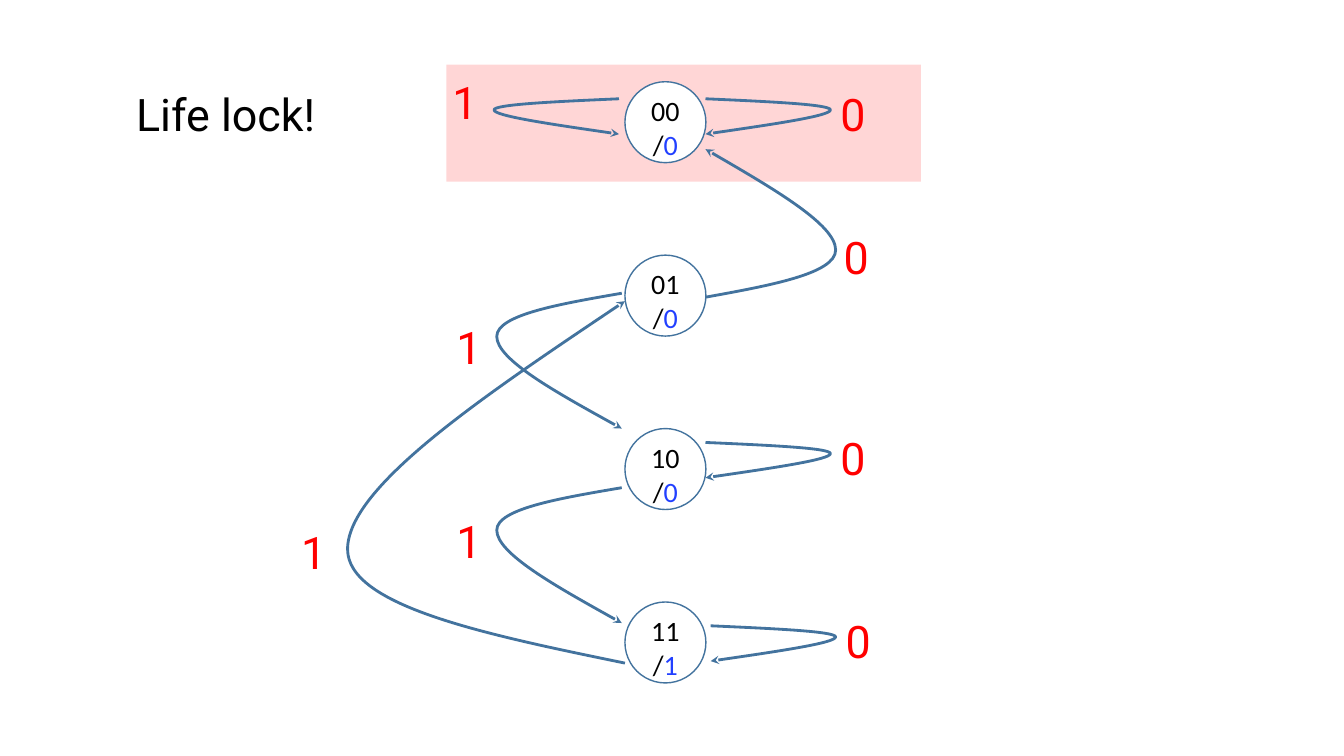
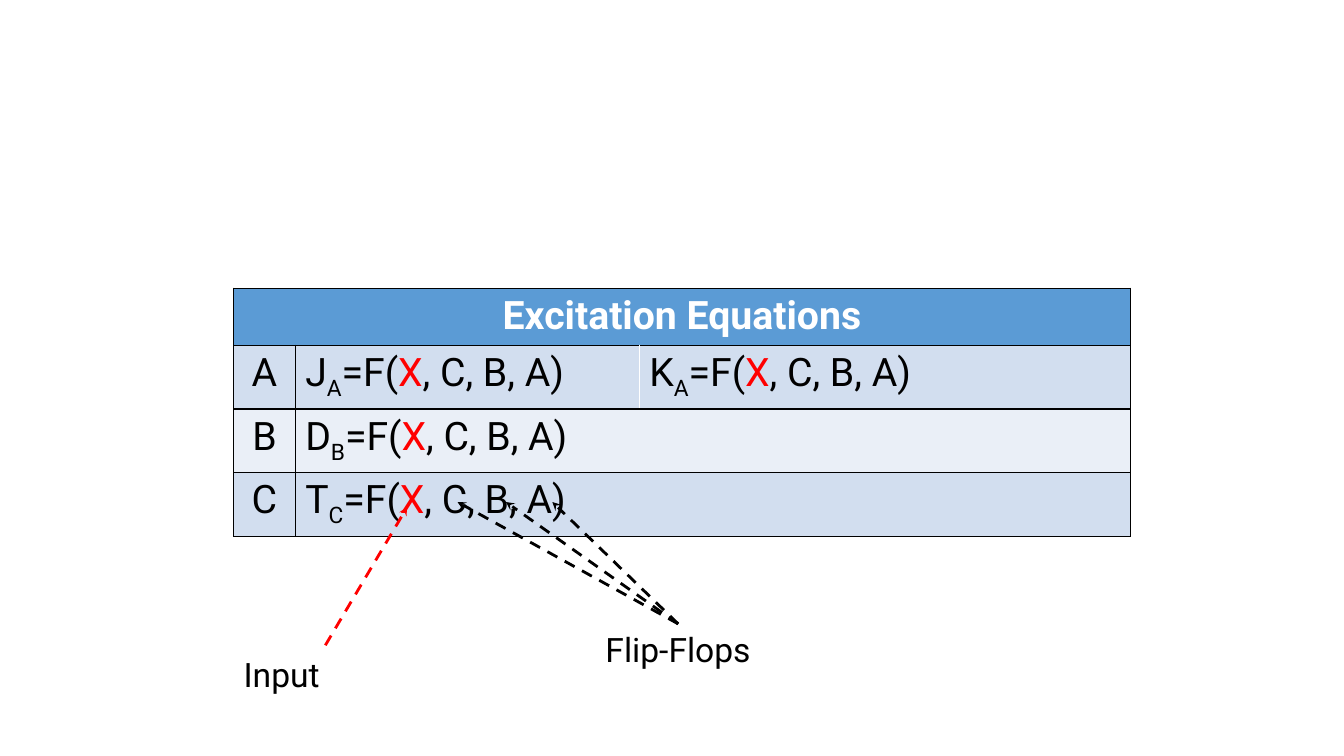
from lxml import etree
from pptx import Presentation
from pptx.dml.color import RGBColor
from pptx.enum.dml import MSO_LINE
from pptx.enum.shapes import MSO_CONNECTOR, MSO_SHAPE
from pptx.enum.text import MSO_ANCHOR, MSO_AUTO_SIZE, PP_ALIGN
from pptx.oxml.ns import qn
from pptx.util import Cm, Pt

RECT, OVAL = MSO_SHAPE.RECTANGLE, MSO_SHAPE.OVAL
STRAIGHT, DASH = MSO_CONNECTOR.STRAIGHT, MSO_LINE.DASH
TOP, MIDDLE = MSO_ANCHOR.TOP, MSO_ANCHOR.MIDDLE
LEFT, CENTER = PP_ALIGN.LEFT, PP_ALIGN.CENTER
FIT = MSO_AUTO_SIZE.SHAPE_TO_FIT_TEXT

COLORS = {"black": "000000", "white": "FFFFFF", "red": "FF0000", "output": "2240FF",
          "edge": "43739E", "header": "5B9BD5", "odd": "D2DEEF", "even": "EAEFF7"}
STATE_FONT = {"name": "Calibri", "size": Pt(20)}
LARGE_FONT = {"name": "Roboto", "size": Pt(32)}
TABLE_FONT = {"name": "Roboto", "size": Pt(28), "bold": False}
CAPTION_FONT = {"name": "Roboto", "size": Pt(24)}

STATES = [("00", "0"), ("01", "0"), ("10", "0"), ("11", "1")]
STATE_LEFT, STATE_TOP, STATE_STEP, STATE_SIZE = 15.75, 2.06, 4.37, 2.04
LOOP_STARTS = [(17.78, 2.49, 20.93), (17.78, 11.15, 20.93),
               (17.91, 15.77, 21.06), (15.6, 2.49, 12.45)]
LOOP_TIP, LOOP_END = 0.28, 0.89
TRANSITIONS = [(17.78, 7.49, 21.06, 6.3, 3.76),
               (15.67, 7.39, 12.52, 8.48, 10.8),
               (15.67, 12.29, 12.52, 13.36, 15.7),
               (15.75, 16.71, 8.76, 13.84, 7.59)]
INPUT_LABELS = {"0": [(20.93, 2.06), (21.01, 5.66), (20.93, 10.72), (21.06, 15.34)],
                "1": [(11.15, 1.75), (11.25, 7.92), (11.25, 12.83), (7.34, 13.11)]}

TABLE_TITLE = "Excitation Equations"
EQUATIONS = [("A", "JK"), ("B", "D"), ("C", "T")]
COL_WIDTHS = [1.55, 8.67, 12.37]
ROW_HEIGHTS = [1.41, 1.56, 1.56, 1.56]
ARROWS = [("black", (17.09, 15.72), (12.75, 12.65)),
          ("black", (17.09, 15.72), (11.53, 12.65)),
          ("black", (17.09, 15.72), (13.92, 12.65)),
          ("red", (8.2, 16.26), (10.26, 12.78))]
CAPTIONS = [("Flip-Flops", (15.01, 15.72, 4.19, 1.27)),
            ("Input", (5.89, 16.36, 2.51, 1.27))]


def rgb(color):
    return RGBColor.from_string(COLORS[color])


def cms(values):
    return [Cm(v) for v in values]


def write(p, runs, font, align=LEFT):
    p.alignment = align
    for text, color, *baseline in runs:
        r = p.add_run()
        r.text = text
        for key, value in font.items():
            setattr(r.font, key, value)
        r.font.color.rgb = rgb(color)
        if baseline:
            r.font._element.set("baseline", str(baseline[0]))


def set_line(shape, color, width, dash=None, arrow=False):
    shape.line.color.rgb = rgb(color)
    shape.line.width = Pt(width)
    if dash:
        shape.line.dash_style = dash
    if arrow:
        ln = shape._element.spPr.find(qn("a:ln"))
        etree.SubElement(ln, qn("a:tailEnd"), type="stealth")


def add_block(s, kind, box, fill):
    sp = s.shapes.add_shape(kind, *cms(box))
    sp.shadow.inherit = False
    sp.fill.solid()
    sp.fill.fore_color.rgb = rgb(fill)
    sp.line.fill.background()
    return sp


def add_text(s, text, box, font, color):
    tf = s.shapes.add_textbox(*cms(box)).text_frame
    tf.word_wrap = False
    tf.auto_size = FIT
    write(tf.paragraphs[0], [(text, color)], font)


def add_state(s, top, code, output):
    sp = add_block(s, OVAL, (STATE_LEFT, top, STATE_SIZE, STATE_SIZE), "white")
    set_line(sp, "edge", 1)
    tf = sp.text_frame
    for side in ("left", "top", "right", "bottom"):
        setattr(tf, f"margin_{side}", 0)
    tf.vertical_anchor = TOP
    write(tf.paragraphs[0], [(code, "black")], STATE_FONT, CENTER)
    write(tf.add_paragraph(), [("/", "black"), (output, "output")], STATE_FONT, CENTER)


def add_curve(s, x, start, tip_x, tip, end):
    builder = s.shapes.build_freeform(Cm(x), Cm(start))
    builder.add_line_segments([(Cm(tip_x), Cm(tip)), (Cm(x), Cm(end))], close=False)
    sp = builder.convert_to_shape()
    sp.shadow.inherit = False
    sp.fill.background()
    set_line(sp, "edge", 2, arrow=True)
    mid = (x + tip_x) / 2
    rise, fall = tip - start, end - tip
    beziers = [[(mid, start + rise / 4), (tip_x, start + rise / 2), (tip_x, tip)],
               [(tip_x, tip + fall / 4), (mid, tip + fall * 5 / 8), (x, end)]]
    path = sp._element.spPr.find(".//" + qn("a:path"))
    for segment in path.findall(qn("a:lnTo")):
        path.remove(segment)
    for points in beziers:
        bezier = etree.SubElement(path, qn("a:cubicBezTo"))
        for px, py in points:
            etree.SubElement(bezier, qn("a:pt"), x=str(Cm(px) - sp.left),
                             y=str(Cm(py) - sp.top))


def format_cell(cell, fill, **borders):
    tcPr = cell._tc.get_or_add_tcPr()
    for side in "LRTB":
        ln = etree.SubElement(tcPr, qn(f"a:ln{side}"), w=str(Pt(1)))
        solid = etree.SubElement(ln, qn("a:solidFill"))
        etree.SubElement(solid, qn("a:srgbClr"), val=COLORS[borders.get(side, "black")])
    cell.fill.solid()
    cell.fill.fore_color.rgb = rgb(fill)


def add_arrow(s, color, start, end):
    line = s.shapes.add_connector(STRAIGHT, *cms(start + end))
    set_line(line, color, 2, DASH, arrow=True)
    etree.SubElement(line._element.spPr, qn("a:effectLst"))


def build_state_diagram(s):
    lock = add_block(s, RECT, (11.25, 1.63, 11.96, 2.95), "red")
    tint = lock._element.spPr.find(".//" + qn("a:srgbClr"))
    etree.SubElement(tint, qn("a:alpha"), val="16000")
    for i, (code, output) in enumerate(STATES):
        add_state(s, STATE_TOP + i * STATE_STEP, code, output)
    loops = [(x, y, tip_x, y + LOOP_TIP, y + LOOP_END) for x, y, tip_x in LOOP_STARTS]
    for curve in loops + TRANSITIONS:
        add_curve(s, *curve)
    for digit, places in INPUT_LABELS.items():
        for place in places:
            add_text(s, digit, (*place, 1.12, 1.62), LARGE_FONT, "red")
    note = add_block(s, RECT, (0.23, 2.06, 10.92, 1.62), "white")
    note.text_frame.word_wrap = True
    note.text_frame.vertical_anchor = MIDDLE
    write(note.text_frame.paragraphs[0], [("Life lock!", "black")], LARGE_FONT, CENTER)


def build_equations(s):
    box = cms((5.89, 7.26, sum(COL_WIDTHS), sum(ROW_HEIGHTS)))
    table = s.shapes.add_table(len(ROW_HEIGHTS), len(COL_WIDTHS), *box).table
    for col, width in zip(table.columns, COL_WIDTHS):
        col.width = Cm(width)
    for row, height in zip(table.rows, ROW_HEIGHTS):
        row.height = Cm(height)
    for i, fill in enumerate(["header", "odd", "even", "odd"]):
        for j in range(3):
            inner = {1: {"R": "white"}, 2: {"L": "white"}}.get(j, {}) if i == 1 else {}
            format_cell(table.cell(i, j), fill, **inner)
    title = table.cell(0, 0)
    title.merge(table.cell(0, 2))
    write(title.text_frame.paragraphs[0], [(TABLE_TITLE, "white")],
          {**TABLE_FONT, "bold": True}, CENTER)
    for i, (flip_flop, inputs) in enumerate(EQUATIONS, 1):
        write(table.cell(i, 0).text_frame.paragraphs[0], [(flip_flop, "black")],
              TABLE_FONT, CENTER)
        if len(inputs) == 1:
            table.cell(i, 1).merge(table.cell(i, 2))
        for j, name in enumerate(inputs, 1):
            runs = [(name, "black"), (flip_flop, "black", -25000), ("=F(", "black"),
                    ("X", "red"), (", C, B, A)", "black")]
            write(table.cell(i, j).text_frame.paragraphs[0], runs, TABLE_FONT)
    for arrow in ARROWS:
        add_arrow(s, *arrow)
    for text, place in CAPTIONS:
        add_text(s, text, place, CAPTION_FONT, "black")


def main():
    prs = Presentation()
    prs.slide_width, prs.slide_height = Cm(33.87), Cm(19.05)
    for build in (build_state_diagram, build_equations):
        build(prs.slides.add_slide(prs.slide_layouts[6]))
    prs.save("out.pptx")


if __name__ == "__main__":
    main()
